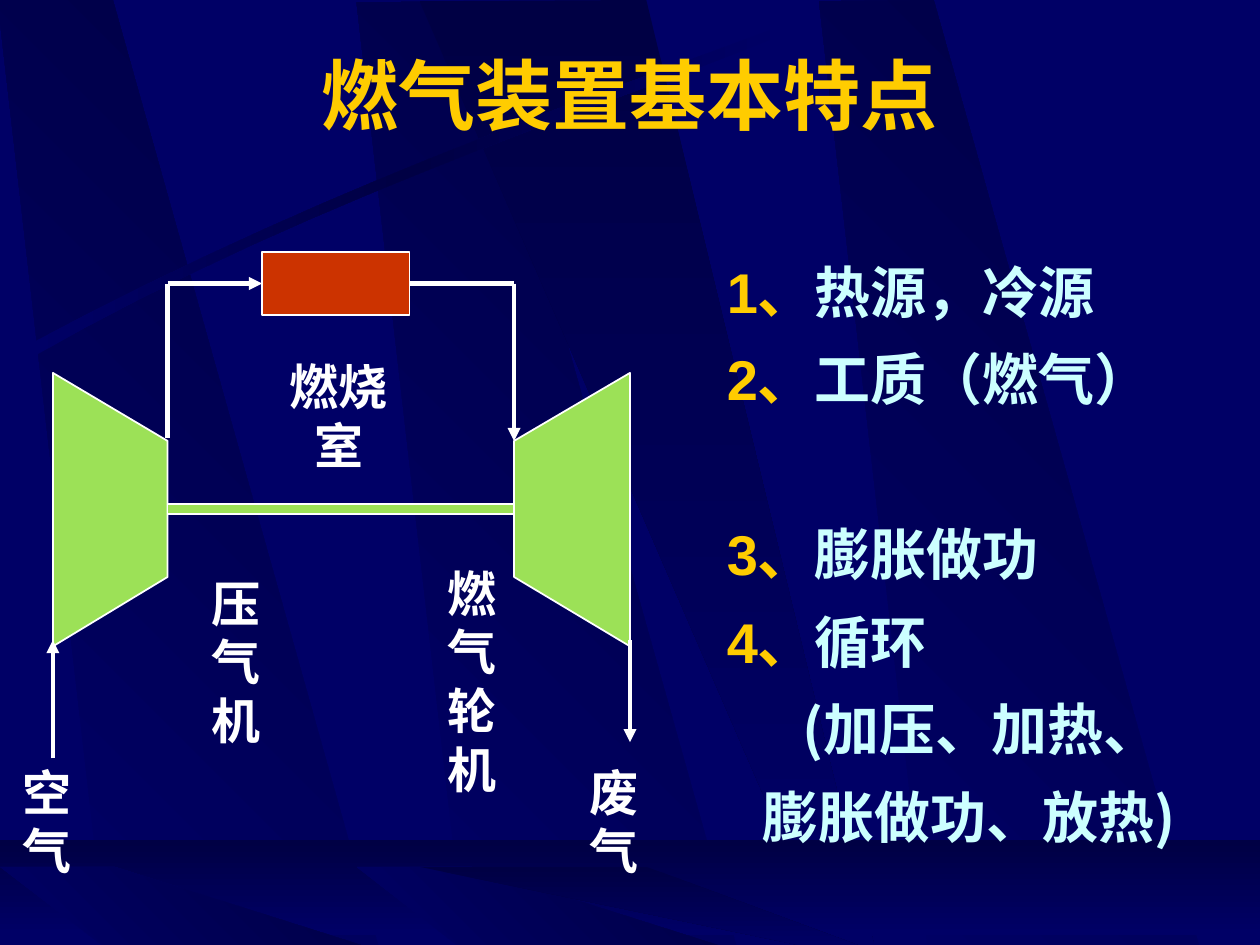
"""Build the slide on the basic features of a gas turbine plant."""
from copy import deepcopy
from dataclasses import dataclass

from lxml import etree
from pptx import Presentation
from pptx.dml.color import RGBColor
from pptx.enum.shapes import MSO_CONNECTOR, MSO_SHAPE
from pptx.enum.text import MSO_ANCHOR, PP_ALIGN
from pptx.oxml.ns import qn
from pptx.util import Inches, Pt

RECTANGLE = MSO_SHAPE.RECTANGLE
STRAIGHT = MSO_CONNECTOR.STRAIGHT
CENTER = PP_ALIGN.CENTER
MIDDLE = MSO_ANCHOR.MIDDLE
LEFT_SIDE, RIGHT_SIDE = 1, 3
TITLE_ONLY = 5
COLORS = {
    "navy": "000066", "dark": "000044", "gold": "FFCC00", "ice": "CCFFFF",
    "white": "FFFFFF", "green": "9CE157", "red": "CC3300",
}
TITLE_FORMAT = {"size": Pt(44), "name": "Montserrat", "bold": True}
POINT_FORMAT = {"size": Pt(32), "name": "Arial", "bold": True}
DETAIL_FORMAT = {**POINT_FORMAT, "name": "Noto Sans CJK SC"}
LABEL_FORMAT = {"size": Pt(28), "name": "Times New Roman", "bold": True}
Points = list[tuple[float, float]]


@dataclass
class Beam:
    points: Points
    colors: tuple[str, ...]
    angle: int


@dataclass
class Label:
    text: str
    left: float
    top: float
    width: float
    height: float
    wrap: bool = True


@dataclass
class Pipe:
    start: tuple[float, float]
    end: tuple[float, float]
    arrow: bool = True


@dataclass
class Point:
    number: str
    text: str
    font: dict
    left: float = 0.38
    indent: float = -0.38
    before: int = 0


def curve(p0: tuple, p1: tuple, p2: tuple, p3: tuple, steps: int = 16) -> Points:
    """Return points along a cubic curve."""
    fractions = [step / steps for step in range(steps + 1)]
    return [
        tuple((1 - t) ** 3 * a + 3 * (1 - t) ** 2 * t * b + 3 * (1 - t) * t * t * c + t ** 3 * d
              for a, b, c, d in zip(p0, p1, p2, p3))
        for t in fractions
    ]


FADE, RISE = ("navy", "dark"), ("dark", "navy")
BEAMS = [
    Beam([(3.69, 7.51), (5.85, 7.53), (3.74, 0.01), (2.83, 0.02)], FADE, 45),
    Beam([(0.84, 7.48), (3, 7.5), (0.89, -0.02), (-0.02, 0)], FADE, 45),
    Beam([(7.36, 7.51), (9.52, 7.52), (7.41, 0), (6.5, 0.01)], FADE, 45),
    Beam([(3.33, 0.01), (6.58, 7.51), (6.94, 7.51), (5.13, 0)], RISE, 270),
    Beam(curve((0.2, 2.75), (2.84, 1.34), (5.24, 0.59), (6.26, 0.18))
         + curve((6.29, 0.24), (5.28, 0.69), (2.54, 1.51), (0.23, 2.85)),
         ("navy", "dark", "navy"), 0),
    Beam([(0, 6.67), (10, 6.67), (10, 7.42), (0, 7.42)], RISE, 270),
    Beam([(3.69, 7.55), (5.85, 7.55), (3.74, 6.88), (2.83, 6.88)], FADE, 45),
    Beam([(0.86, 7.54), (3.02, 7.55), (0.91, 6.88), (0, 6.88)], FADE, 45),
    Beam([(3.33, 6.88), (6.58, 7.55), (6.94, 7.55), (5.13, 6.88)], RISE, 270),
]
COMPRESSOR = [(0.42, 5.13), (1.33, 4.58), (1.33, 3.5), (0.42, 2.96)]
TURBINE = [(5, 2.96), (4.08, 3.5), (4.08, 4.58), (5, 5.13)]
INLET_PIPE = Pipe((1.33, 2.25), (2.08, 2.25))
OUTLET_PIPE = Pipe((3.25, 2.25), (4.08, 2.25), arrow=False)
PIPES = [
    Pipe((1.33, 3.48), (1.33, 2.25), arrow=False),
    Pipe((0.42, 6.02), (0.42, 5.08)),
    Pipe((4.08, 2.25), (4.08, 3.5)),
    Pipe((5, 5.08), (5, 5.89)),
]
LABELS = [
    Label("压气机", 1.5, 4.5, 0.75, 1.5),
    Label("燃气轮机", 3.33, 4.42, 0.83, 1.97),
    Label("燃烧室", 2.01, 2.78, 1.36, 0.57, wrap=False),
    Label("空气", 0, 6, 0.75, 1.04),
    Label("废气", 4.5, 6, 0.75, 1.04),
]
POINTS = [
    Point("1、", "热源，冷源", POINT_FORMAT),
    Point("2、", "工质（燃气）", POINT_FORMAT),
    Point("3、", "膨胀做功", POINT_FORMAT, before=50),
    Point("4、", "循环", POINT_FORMAT),
    Point("", "(加压、加热、", DETAIL_FORMAT, left=0.6, indent=0),
    Point("", "膨胀做功、放热)", DETAIL_FORMAT, left=0.28, indent=0),
]


def rgb(name: str) -> RGBColor:
    """Look up a named colour."""
    return RGBColor.from_string(COLORS[name])


def add_span(para, text: str, color: str, font_format: dict) -> None:
    """Add a formatted run of text."""
    span = para.add_run()
    span.text = text
    span.font.color.rgb = rgb(color)
    for name, value in font_format.items():
        setattr(span.font, name, value)


def add_outline(page, points: Points):
    """Draw a closed outline through the points."""
    corners = [(Inches(x), Inches(y)) for x, y in points]
    builder = page.shapes.build_freeform(*corners[0])
    builder.add_line_segments(corners[1:], close=True)
    shape = builder.convert_to_shape()
    shape.shadow.inherit = False
    return shape


def add_beam(page, beam: Beam) -> None:
    """Draw a backdrop beam with a linear gradient."""
    shape = add_outline(page, beam.points)
    shape.line.fill.background()
    shape.fill.gradient()
    shape.fill.gradient_angle = beam.angle
    stop_list = shape.element.xpath(".//a:gsLst")[0]
    for _ in beam.colors[2:]:
        stop_list.append(deepcopy(stop_list[-1]))
    for index, (stop, color) in enumerate(zip(shape.fill.gradient_stops, beam.colors)):
        stop.position = index / (len(beam.colors) - 1)
        stop.color.rgb = rgb(color)


def paint(shape, color: str) -> None:
    """Give a machine part its fill and white edge."""
    shape.shadow.inherit = False
    shape.fill.solid()
    shape.fill.fore_color.rgb = rgb(color)
    shape.line.color.rgb = rgb("white")
    shape.line.width = Pt(1)


def add_block(page, color: str, *frame: float):
    """Draw a rectangular machine part."""
    block = page.shapes.add_shape(RECTANGLE, *map(Inches, frame))
    paint(block, color)
    return block


def add_pipe(page, pipe: Pipe):
    """Draw a flow line, with an arrowhead where asked."""
    line = page.shapes.add_connector(STRAIGHT, *map(Inches, pipe.start + pipe.end))
    line.line.color.rgb = rgb("white")
    line.line.width = Pt(2.5)
    if pipe.arrow:
        etree.SubElement(line.element.xpath(".//a:ln")[0], qn("a:tailEnd"), type="triangle")
    etree.SubElement(line.element.spPr, qn("a:effectLst"))
    return line


def add_label(page, label: Label) -> None:
    """Write a centred label."""
    box = page.shapes.add_textbox(*map(Inches, (label.left, label.top, label.width, label.height)))
    box.text_frame.word_wrap = label.wrap
    para = box.text_frame.paragraphs[0]
    para.alignment = CENTER
    add_span(para, label.text, "white", LABEL_FORMAT)


def add_points(page, points: list[Point]) -> None:
    """Write the numbered list."""
    box = page.shapes.add_textbox(*map(Inches, (5.67, 1.83, 4.33, 5.42)))
    frame = box.text_frame
    frame.word_wrap = True
    for index, point in enumerate(points):
        para = frame.add_paragraph() if index else frame.paragraphs[0]
        para.line_spacing = Pt(50)
        if point.before:
            para.space_before = Pt(point.before)
        properties = para._p.get_or_add_pPr()
        properties.set("marL", str(Inches(point.left)))
        properties.set("indent", str(Inches(point.indent)))
        if point.number:
            add_span(para, point.number, "gold", point.font)
        add_span(para, point.text, "ice", point.font)


def add_title(page, text: str) -> None:
    """Place the title in front of the backdrop."""
    title = page.shapes.title
    page.shapes.element.append(title.element)
    frame = {"left": 0.75, "top": 0.33, "width": 8.5, "height": 0.83}
    for name, value in frame.items():
        setattr(title, name, Inches(value))
    title.text_frame.vertical_anchor = MIDDLE
    para = title.text_frame.paragraphs[0]
    para.alignment = CENTER
    add_span(para, text, "gold", TITLE_FORMAT)


def main() -> None:
    """Assemble and save the deck."""
    deck = Presentation()
    deck.slide_width, deck.slide_height = Inches(10), Inches(7.5)
    page = deck.slides.add_slide(deck.slide_layouts[TITLE_ONLY])
    page.background.fill.solid()
    page.background.fill.fore_color.rgb = rgb("navy")
    for beam in BEAMS:
        add_beam(page, beam)
    add_title(page, "燃气装置基本特点")
    add_points(page, POINTS)
    for outline in (COMPRESSOR, TURBINE):
        paint(add_outline(page, outline), "green")
    combustor = add_block(page, "red", 2.08, 2, 1.17, 0.5)
    add_pipe(page, INLET_PIPE).end_connect(combustor, LEFT_SIDE)
    add_pipe(page, OUTLET_PIPE).begin_connect(combustor, RIGHT_SIDE)
    for pipe in PIPES:
        add_pipe(page, pipe)
    add_block(page, "green", 1.33, 4, 2.75, 0.08)
    for label in LABELS:
        add_label(page, label)
    deck.save("out.pptx")


if __name__ == "__main__":
    main()
